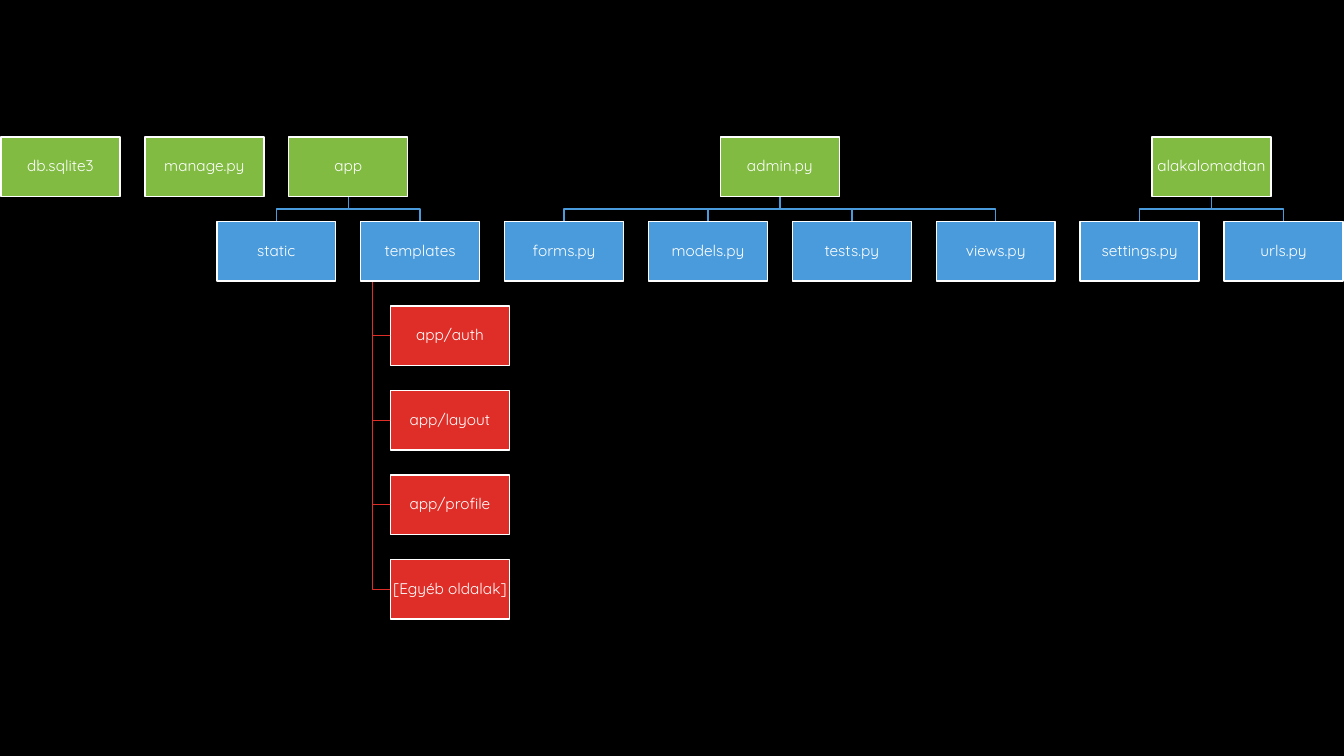
import dataclasses

import pptx
import pptx.dml.color
import pptx.enum.shapes
import pptx.enum.text
import pptx.util


@dataclasses.dataclass(frozen=True)
class Theme:
    background: str = "000000"
    text: str = "FFFFFF"
    outline: str = "FFFFFF"
    root: str = "81BB42"
    child: str = "4A9BDC"
    page: str = "DF2E28"
    font: str = "Quicksand"
    label_size: float = 11
    line_width: float = 1


SLIDE_WIDTH, SLIDE_HEIGHT = 13.33, 7.5
BOX_WIDTH, BOX_HEIGHT = 1.18, 0.59
LEFT, TOP = 0.01, 1.36
COLUMN_STEP = (SLIDE_WIDTH - 2 * LEFT - BOX_WIDTH) / 8.5
ROW_STEP = (SLIDE_HEIGHT - 2 * TOP - BOX_HEIGHT) / 5
TRUNK_INSET, PAGE_INDENT = 0.1 * BOX_WIDTH, 0.25 * BOX_WIDTH

ROOTS = [
    ("db.sqlite3", 0, []),
    ("manage.py", 1, []),
    ("app", 2, [("static", 1.5), ("templates", 2.5)]),
    ("admin.py", 5, [("forms.py", 3.5), ("models.py", 4.5),
                     ("tests.py", 5.5), ("views.py", 6.5)]),
    ("alakalomadtan", 8, [("settings.py", 7.5), ("urls.py", 8.5)]),
]
TEMPLATES_COLUMN = 2.5
TEMPLATE_PAGES = ["app/auth", "app/layout", "app/profile", "[Egyéb oldalak]"]


def color(value):
    return pptx.dml.color.RGBColor.from_string(value)


def write_text(frame, text, *, font, size, fill, inset=0.01, spacing=0.9):
    frame.word_wrap = True
    frame.vertical_anchor = pptx.enum.text.MSO_ANCHOR.MIDDLE
    margin = pptx.util.Inches(inset)
    frame.margin_left = frame.margin_right = margin
    frame.margin_top = frame.margin_bottom = margin
    para = frame.paragraphs[0]
    para.alignment = pptx.enum.text.PP_ALIGN.CENTER
    para.line_spacing = spacing
    para.space_after = pptx.util.Pt(0.35 * size)
    span = para.add_run()
    span.text = text
    span.font.name = font
    span.font.size = pptx.util.Pt(size)
    span.font.color.rgb = color(fill)


class Chart:
    def __init__(self, page, theme):
        self.page = page
        self.theme = theme
        page.background.fill.solid()
        page.background.fill.fore_color.rgb = color(theme.background)

    def corner(self, column, row):
        return LEFT + column * COLUMN_STEP, TOP + row * ROW_STEP

    def outline(self, shape, line_color):
        shape.shadow.inherit = False
        shape.line.color.rgb = color(line_color)
        shape.line.width = pptx.util.Pt(self.theme.line_width)

    def node(self, text, column, row, fill, indent=0):
        left, top = self.corner(column, row)
        box = self.page.shapes.add_shape(
            pptx.enum.shapes.MSO_SHAPE.RECTANGLE,
            *map(pptx.util.Inches, (left + indent, top, BOX_WIDTH, BOX_HEIGHT)))
        box.fill.solid()
        box.fill.fore_color.rgb = color(fill)
        self.outline(box, self.theme.outline)
        write_text(box.text_frame, text, font=self.theme.font,
                   size=self.theme.label_size, fill=self.theme.text)

    def polyline(self, points, line_color):
        start, *rest = [tuple(map(pptx.util.Inches, point)) for point in points]
        builder = self.page.shapes.build_freeform(*start)
        builder.add_line_segments(rest, close=False)
        link = builder.convert_to_shape()
        link.fill.background()
        self.outline(link, line_color)

    def branch(self, parent_column, child_column):
        left, top = self.corner(parent_column, 0)
        child_left, child_top = self.corner(child_column, 1)
        start, end = left + BOX_WIDTH / 2, child_left + BOX_WIDTH / 2
        bottom = top + BOX_HEIGHT
        middle = (bottom + child_top) / 2
        self.polyline([(start, bottom), (start, middle), (end, middle),
                       (end, child_top)], self.theme.child)

    def hanger(self, column, parent_row, child_row):
        left, top = self.corner(column, parent_row)
        trunk = left + TRUNK_INSET
        middle = self.corner(column, child_row)[1] + BOX_HEIGHT / 2
        self.polyline([(trunk, top + BOX_HEIGHT), (trunk, middle),
                       (left + PAGE_INDENT, middle)], self.theme.page)


def main():
    deck = pptx.Presentation()
    deck.slide_width = pptx.util.Inches(SLIDE_WIDTH)
    deck.slide_height = pptx.util.Inches(SLIDE_HEIGHT)
    theme = Theme()
    chart = Chart(deck.slides.add_slide(deck.slide_layouts[6]), theme)

    for _, column, children in ROOTS:
        for _, child_column in children:
            chart.branch(column, child_column)
    for row in range(2, 2 + len(TEMPLATE_PAGES)):
        chart.hanger(TEMPLATES_COLUMN, 1, row)

    for name, column, children in ROOTS:
        chart.node(name, column, 0, theme.root)
        for child_name, child_column in children:
            chart.node(child_name, child_column, 1, theme.child)
    for row, name in enumerate(TEMPLATE_PAGES, start=2):
        chart.node(name, TEMPLATES_COLUMN, row, theme.page, indent=PAGE_INDENT)

    deck.save("out.pptx")


if __name__ == "__main__":
    main()
